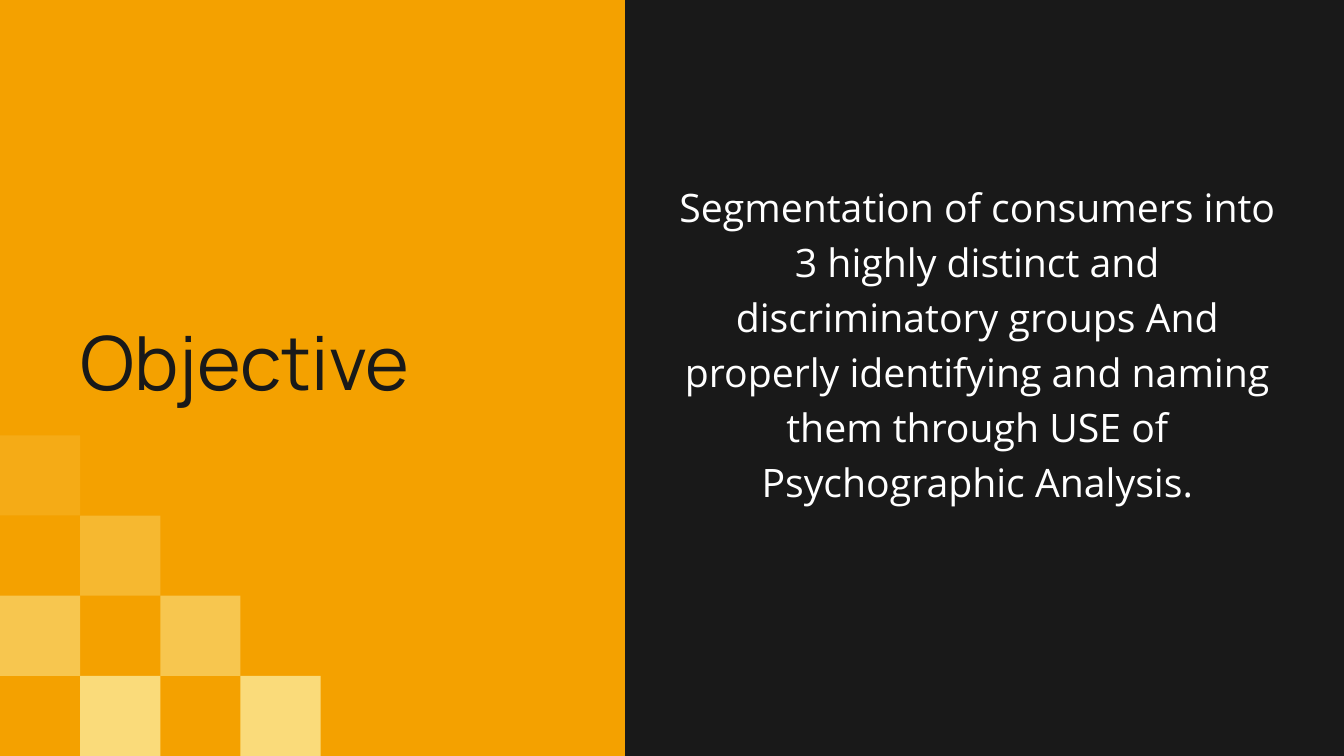
from dataclasses import dataclass

from lxml.etree import SubElement
from pptx import Presentation
from pptx.dml.color import RGBColor
from pptx.enum.shapes import MSO_SHAPE
from pptx.enum.text import MSO_ANCHOR, MSO_AUTO_SIZE, PP_ALIGN
from pptx.oxml.ns import qn
from pptx.shapes.placeholder import SlidePlaceholder
from pptx.slide import Slide
from pptx.util import Cm, Pt


@dataclass(frozen=True)
class Theme:
    dark: RGBColor = RGBColor(0x19, 0x19, 0x19)
    orange: RGBColor = RGBColor(0xF4, 0xA1, 0x00)
    cream: RGBColor = RGBColor(0xFA, 0xDB, 0x7A)
    white: RGBColor = RGBColor(0xFF, 0xFF, 0xFF)
    title_size: float = 80
    body_size: float = 42


@dataclass(frozen=True)
class Box:
    left: float
    top: float
    width: float
    height: float


@dataclass(frozen=True)
class Tile:
    column: int
    row: int
    opacity: int


@dataclass(frozen=True)
class TextStyle:
    font: str
    size: float
    line_spacing: float
    color: RGBColor
    alignment: PP_ALIGN


THEME = Theme()
SLIDE_WIDTH, SLIDE_HEIGHT = 50.8, 28.58
TILE_SIZE = 3.03
TILE_ROWS = 4
TILES = [
    Tile(0, 0, 19),
    Tile(1, 1, 40),
    Tile(0, 2, 65),
    Tile(2, 2, 65),
    Tile(1, 3, 100),
    Tile(3, 3, 100),
]
TITLE_STYLE = TextStyle("Manrope", THEME.title_size, 96, THEME.dark, PP_ALIGN.LEFT)
BODY_STYLE = TextStyle("Open Sans", THEME.body_size, 58.8, THEME.white, PP_ALIGN.CENTER)
OBJECTIVE = (
    "Segmentation of consumers into 3 highly distinct and discriminatory groups "
    "And properly identifying and naming them through USE of Psychographic Analysis."
)


def add_rectangle(slide: Slide, box: Box, color: RGBColor, opacity: int = 100) -> None:
    shape = slide.shapes.add_shape(
        MSO_SHAPE.RECTANGLE, Cm(box.left), Cm(box.top), Cm(box.width), Cm(box.height)
    )
    shape.shadow.inherit = False
    shape.line.fill.background()
    shape.fill.solid()
    shape.fill.fore_color.rgb = color
    if opacity < 100:
        color_element = shape.element.spPr.find(f"{qn('a:solidFill')}/{qn('a:srgbClr')}")
        SubElement(color_element, qn("a:alpha"), val=str(opacity * 1000))
    slide.shapes.title.element.addprevious(shape.element)


def add_tile(slide: Slide, tile: Tile) -> None:
    top = SLIDE_HEIGHT - (TILE_ROWS - tile.row) * TILE_SIZE
    box = Box(tile.column * TILE_SIZE, top, TILE_SIZE, TILE_SIZE)
    add_rectangle(slide, box, THEME.cream, tile.opacity)


def fill_placeholder(
    placeholder: SlidePlaceholder, text: str, box: Box, style: TextStyle
) -> None:
    placeholder.left, placeholder.top = Cm(box.left), Cm(box.top)
    placeholder.width, placeholder.height = Cm(box.width), Cm(box.height)
    frame = placeholder.text_frame
    frame.text = text
    frame.word_wrap = True
    frame.auto_size = MSO_AUTO_SIZE.NONE
    frame.vertical_anchor = MSO_ANCHOR.TOP
    frame.margin_left = frame.margin_top = frame.margin_right = frame.margin_bottom = 0
    paragraph = frame.paragraphs[0]
    paragraph.alignment = style.alignment
    paragraph.line_spacing = Pt(style.line_spacing)
    paragraph.space_before = Pt(0)
    paragraph.font.name = style.font
    paragraph.font.size = Pt(style.size)
    paragraph.font.color.rgb = style.color
    properties = paragraph._p.get_or_add_pPr()
    properties.set("marL", "0")
    properties.set("indent", "0")
    properties.find(qn("a:defRPr")).addprevious(
        SubElement(properties, qn("a:buNone"))
    )


def main() -> None:
    presentation = Presentation()
    presentation.slide_width = Cm(SLIDE_WIDTH)
    presentation.slide_height = Cm(SLIDE_HEIGHT)
    slide = presentation.slides.add_slide(presentation.slide_layouts[1])
    slide.background.fill.solid()
    slide.background.fill.fore_color.rgb = THEME.dark

    add_rectangle(slide, Box(0, 0, 23.62, SLIDE_HEIGHT), THEME.orange)
    for tile in TILES:
        add_tile(slide, tile)

    title_box = Box(TILE_SIZE, 11.94, 17.9, 3.63)
    body_box = Box(25.4, 6.65, 23.09, 14.35)
    fill_placeholder(slide.shapes.title, "Objective", title_box, TITLE_STYLE)
    fill_placeholder(slide.placeholders[1], OBJECTIVE, body_box, BODY_STYLE)
    presentation.save("out.pptx")


if __name__ == "__main__":
    main()
